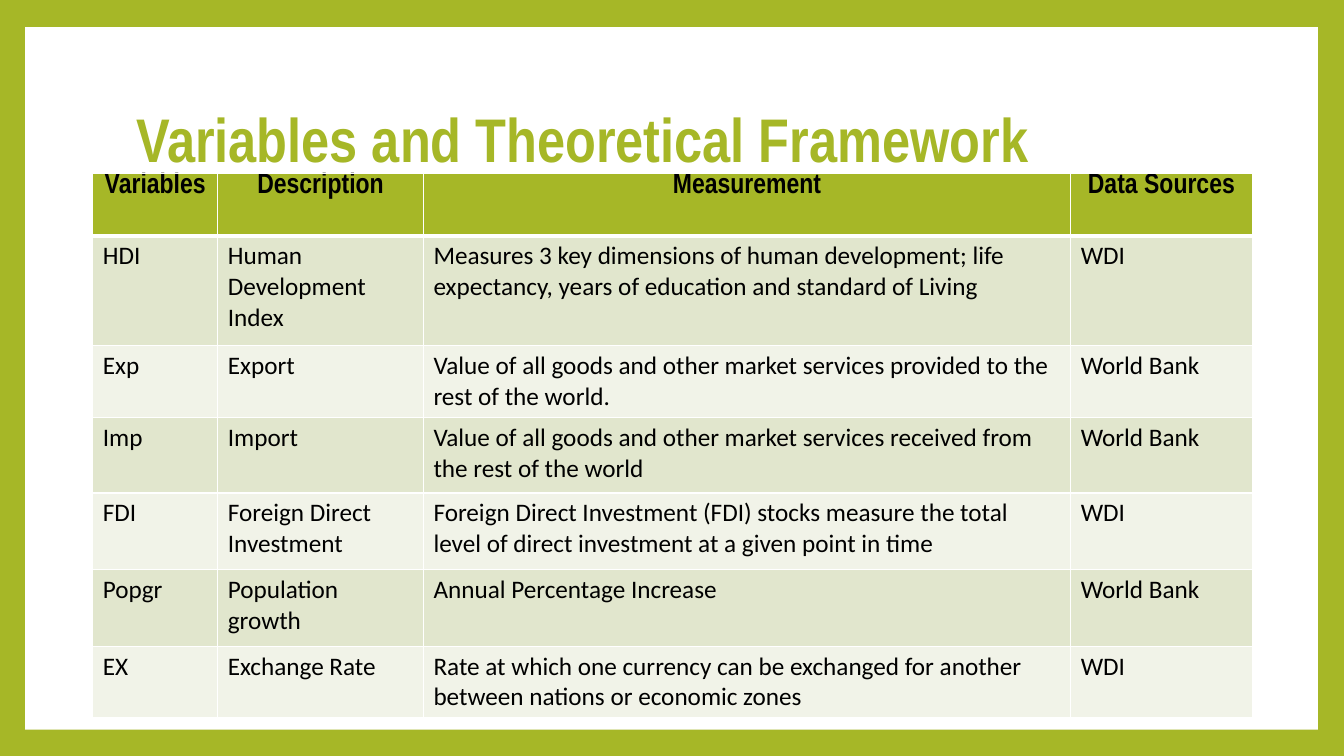
from lxml.etree import SubElement
from pptx import Presentation
from pptx.dml.color import RGBColor
from pptx.enum.shapes import MSO_SHAPE as Shape
from pptx.enum.text import MSO_ANCHOR as Anchor, PP_ALIGN as Align
from pptx.oxml.ns import qn
from pptx.util import Inches, Pt

COLOURS = {
    "green": "A6B727",
    "white": "FFFFFF",
    "black": "000000",
    "dark_band": "E1E6CD",
    "light_band": "F1F3E8",
}
COLUMN_WIDTHS = [1.24, 2.04, 6.42, 1.8]
ROW_HEIGHTS = [0.62, 1.09, 0.62, 0.75, 0.76, 0.76, 0.62]
ROWS = [
    ["Variables", "Description", "Measurement", "Data Sources"],
    ["HDI", "Human Development Index",
     "Measures 3 key dimensions of human development; life expectancy, "
     "years of education and standard of Living", "WDI"],
    ["Exp", "Export",
     "Value of all goods and other market services provided to the rest of the world.",
     "World Bank"],
    ["Imp", "Import",
     "Value of all goods and other market services received from the rest of the world",
     "World Bank"],
    ["FDI", "Foreign Direct Investment",
     "Foreign Direct Investment (FDI) stocks measure the total level of direct "
     "investment at a given point in time", "WDI"],
    ["Popgr", "Population growth", "Annual Percentage Increase", "World Bank"],
    ["EX", "Exchange Rate",
     "Rate at which one currency can be exchanged for another between nations "
     "or economic zones", "WDI"],
]


def colour(name):
    """Return the named palette colour."""
    return RGBColor.from_string(COLOURS[name])


def paint(fill, name):
    """Make a fill solid in a palette colour."""
    fill.solid()
    fill.fore_color.rgb = colour(name)


def add_run(paragraph, text, font_name, size, colour_name, bold=False):
    """Append one formatted run to a paragraph."""
    run = paragraph.add_run()
    run.text = text
    run.font.name = font_name
    run.font.size = Pt(size)
    run.font.bold = bold
    run.font.color.rgb = colour(colour_name)


def add_panel(slide, left, top, width, height):
    """Set the green background and place the white panel on it."""
    paint(slide.background.fill, "green")
    panel = slide.shapes.add_shape(
        Shape.RECTANGLE, Inches(left), Inches(top), Inches(width), Inches(height))
    panel.shadow.inherit = False
    paint(panel.fill, "white")
    panel.line.fill.background()
    slide.shapes.element.insert(2, panel.element)


def set_title(slide, text, left, top, width, height):
    """Place and format the title placeholder."""
    title = slide.shapes.title
    title.left, title.top = Inches(left), Inches(top)
    title.width, title.height = Inches(width), Inches(height)
    frame = title.text_frame
    frame.word_wrap = True
    frame.vertical_anchor = Anchor.MIDDLE
    paragraph = frame.paragraphs[0]
    paragraph.alignment = Align.LEFT
    paragraph.line_spacing = 0.9
    add_run(paragraph, text, "Arial Narrow", 44, "green", True)


def set_borders(cell, bottom_width):
    """Draw white borders around a cell, ahead of its fill."""
    properties = cell._tc.get_or_add_tcPr()
    widths = {"lnL": 1, "lnR": 1, "lnT": 1, "lnB": bottom_width}
    for index, (side, width) in enumerate(widths.items()):
        line = SubElement(properties, qn(f"a:{side}"), w=str(Pt(width)))
        solid = SubElement(line, qn("a:solidFill"))
        SubElement(solid, qn("a:srgbClr"), val=COLOURS["white"])
        properties.insert(index, line)


def fill_cell(cell, text, row_index):
    """Write and style one cell as header or banded body."""
    is_header = row_index == 0
    band = "dark_band" if row_index % 2 else "light_band"
    paint(cell.fill, "green" if is_header else band)
    set_borders(cell, 3 if is_header else 1)
    paragraph = cell.text_frame.paragraphs[0]
    if is_header:
        cell.margin_top = cell.margin_bottom = 0
        paragraph.alignment = Align.CENTER
        add_run(paragraph, text, "Arial Narrow", 20, "black", True)
    else:
        add_run(paragraph, text, "Calibri", 18, "black")


def add_variables_table(slide, left, top, width, height):
    """Place the table of variables and their sources."""
    table = slide.shapes.add_table(
        len(ROWS), len(COLUMN_WIDTHS),
        Inches(left), Inches(top), Inches(width), Inches(height)).table
    for column, column_width in zip(table.columns, COLUMN_WIDTHS):
        column.width = Inches(column_width)
    for row_index, (row, row_height) in enumerate(zip(table.rows, ROW_HEIGHTS)):
        row.height = Inches(row_height)
        for cell, text in zip(row.cells, ROWS[row_index]):
            fill_cell(cell, text, row_index)


def build_variables_slide(presentation):
    """Build the slide of variables and theoretical framework."""
    slide = presentation.slides.add_slide(presentation.slide_layouts[5])
    add_panel(slide, 0.25, 0.27, 12.82, 6.97)
    set_title(slide, "Variables and Theoretical Framework", 1.25, 0.67, 10.8, 1.48)
    add_variables_table(slide, 0.92, 1.72, 11.5, 5.38)


presentation = Presentation()
presentation.slide_width = Inches(13.33)
presentation.slide_height = Inches(7.5)
build_variables_slide(presentation)
presentation.save("out.pptx")
